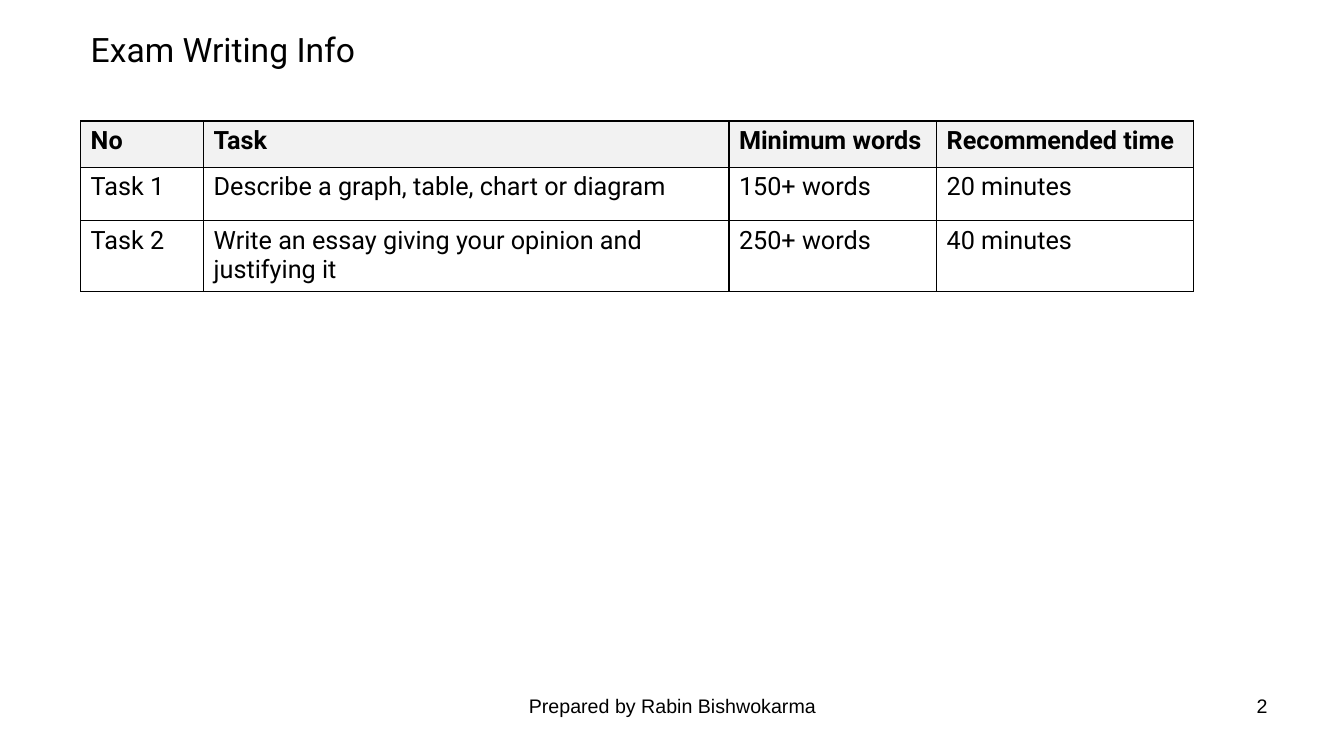
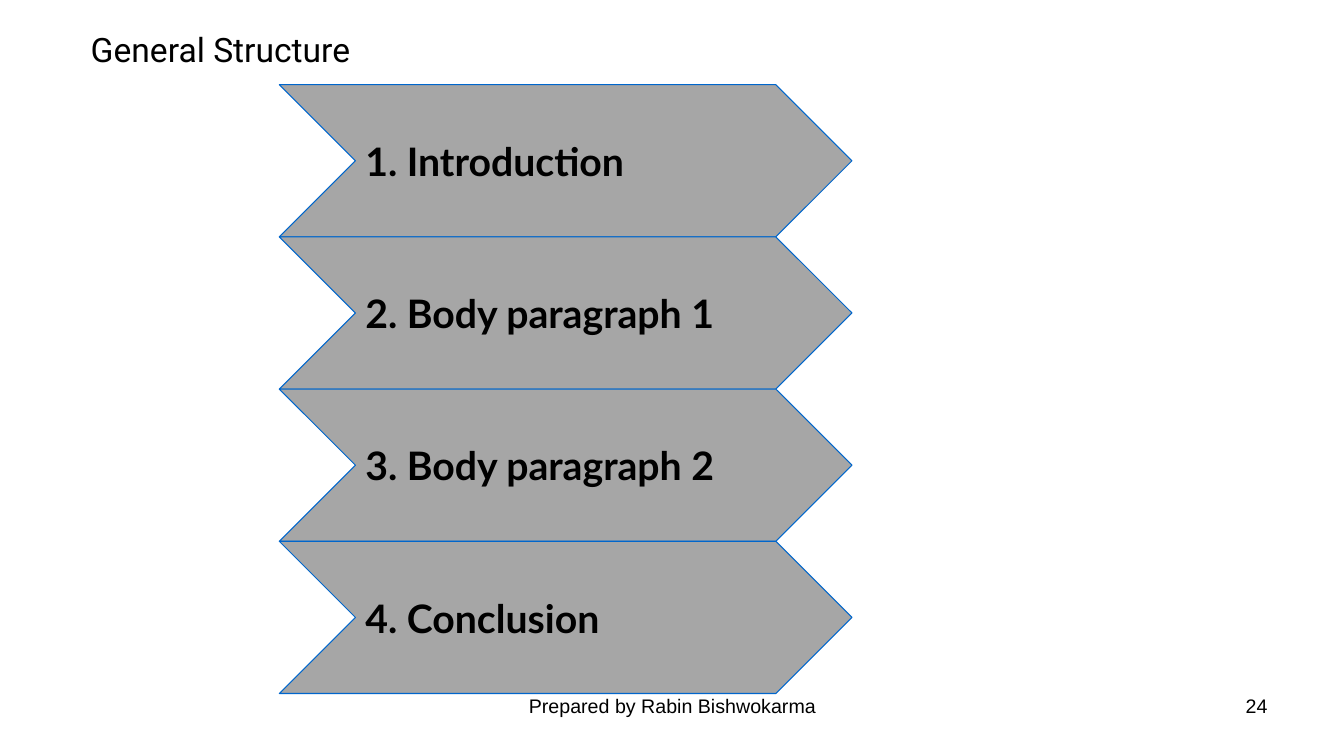
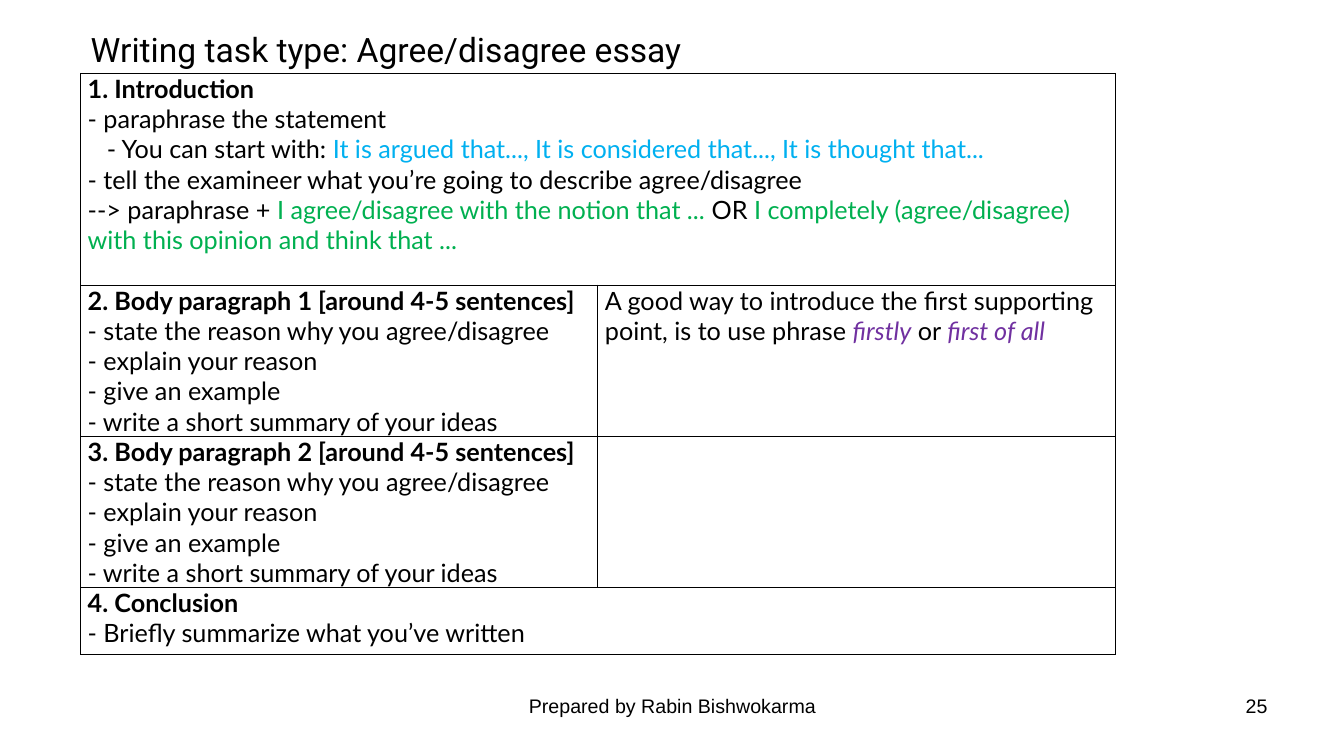
from dataclasses import dataclass

from lxml import etree
from pptx import Presentation
from pptx.dml.color import RGBColor
from pptx.enum.shapes import MSO_SHAPE
from pptx.enum.text import MSO_ANCHOR, MSO_AUTO_SIZE, PP_ALIGN
from pptx.oxml.ns import qn
from pptx.util import Inches, Pt

CHEVRON = MSO_SHAPE.CHEVRON
TOP, MIDDLE = MSO_ANCHOR.TOP, MSO_ANCHOR.MIDDLE
LEFT, CENTER, RIGHT = PP_ALIGN.LEFT, PP_ALIGN.CENTER, PP_ALIGN.RIGHT
NO_AUTOSIZE = MSO_AUTO_SIZE.NONE

BLACK = RGBColor(0x00, 0x00, 0x00)
WHITE = RGBColor(0xFF, 0xFF, 0xFF)
HEADER_GRAY = RGBColor(0xF2, 0xF2, 0xF2)
STEP_GRAY = RGBColor(0xA6, 0xA6, 0xA6)
STEP_LINE = RGBColor(0x00, 0x66, 0xCC)
SKY = RGBColor(0x00, 0xB0, 0xF0)
GREEN = RGBColor(0x00, 0xB0, 0x50)
PURPLE = RGBColor(0x70, 0x30, 0xA0)

TITLE_FONT, BODY_FONT, FOOTER_FONT = "Roboto", "Lato", "Arial"
MARGIN_LEFT = 0.8
FOOTER = "Prepared by Rabin Bishwokarma"


@dataclass
class Run:
    text: str
    color: RGBColor = BLACK
    bold: bool = False
    italic: bool = False


@dataclass
class Para:
    runs: list
    indent: float = 0


def plain(text):
    return Para([Run(text)])


def heading(text):
    return Para([Run(text, bold=True)])


def write(frame, paras, font, size, align=LEFT):
    for index, para in enumerate(paras):
        paragraph = frame.paragraphs[0] if index == 0 else frame.add_paragraph()
        paragraph.alignment = align
        if para.indent:
            properties = paragraph._p.get_or_add_pPr()
            properties.set("marL", str(Inches(para.indent)))
            properties.set("indent", "0")
        for part in para.runs:
            run = paragraph.add_run()
            run.text = part.text
            run.font.name = font
            run.font.size = Pt(size)
            run.font.bold = part.bold
            run.font.italic = part.italic
            run.font.color.rgb = part.color


def add_footer_text(slide, text, left, width, align):
    box = slide.shapes.add_textbox(Inches(left), Inches(6.83), Inches(width), Inches(0.52))
    box.text_frame.word_wrap = True
    write(box.text_frame, [plain(text)], FOOTER_FONT, 14, align)


def add_slide(prs, title, number):
    slide = prs.slides.add_slide(prs.slide_layouts[5])
    holder = slide.shapes.title
    holder.left, holder.top = Inches(MARGIN_LEFT), Inches(0.24)
    holder.width, holder.height = Inches(10.26), Inches(0.5)
    frame = holder.text_frame
    frame.word_wrap = True
    frame.auto_size = NO_AUTOSIZE
    frame.vertical_anchor = TOP
    write(frame, [plain(title)], TITLE_FONT, 24)
    add_footer_text(slide, str(number), 9.56, 3.11, RIGHT)
    add_footer_text(slide, FOOTER, 4.56, 4.22, CENTER)
    return slide


def add_borders(cell):
    properties = cell._tc.get_or_add_tcPr()
    for side in ("a:lnL", "a:lnR", "a:lnT", "a:lnB"):
        line = etree.SubElement(properties, qn(side), w=str(Pt(1)))
        fill = etree.SubElement(line, qn("a:solidFill"))
        etree.SubElement(fill, qn("a:srgbClr"), val=str(BLACK))


def add_grid(slide, top, widths, heights):
    table = slide.shapes.add_table(
        len(heights), len(widths), Inches(MARGIN_LEFT), Inches(top),
        Inches(sum(widths)), Inches(sum(heights))).table
    table.first_row = table.horz_banding = False
    for column, width in zip(table.columns, widths):
        column.width = Inches(width)
    for row, height in zip(table.rows, heights):
        row.height = Inches(height)
    for cell in table.iter_cells():
        add_borders(cell)
        cell.fill.solid()
        cell.fill.fore_color.rgb = WHITE
    return table


def add_task_table(slide):
    tasks = [
        ("No", "Task", "Minimum words", "Recommended time"),
        ("Task 1", "Describe a graph, table, chart or diagram", "150+ words", "20 minutes"),
        ("Task 2", "Write an essay giving your opinion and justifying it",
         "250+ words", "40 minutes"),
    ]
    table = add_grid(slide, 1.2, [1.22, 5.21, 2.06, 2.55], [0.46, 0.53, 0.7])
    for row, task in enumerate(tasks):
        for column, text in enumerate(task):
            cell = table.cell(row, column)
            if row == 0:
                cell.fill.fore_color.rgb = HEADER_GRAY
            para = heading(text) if row == 0 else plain(text)
            write(cell.text_frame, [para], TITLE_FONT, 18)


def add_steps(slide, steps):
    height = 1.51
    for index, text in enumerate(steps):
        step = slide.shapes.add_shape(
            CHEVRON, Inches(2.77), Inches(0.84 + index * height), Inches(5.68), Inches(height))
        step.shadow.inherit = False
        step.fill.solid()
        step.fill.fore_color.rgb = STEP_GRAY
        step.line.color.rgb = STEP_LINE
        step.line.width = Pt(0.75)
        step.text_frame.vertical_anchor = MIDDLE
        write(step.text_frame, [heading(text)], BODY_FONT, 28)


def body_plan(number):
    return [
        heading(f"{number + 1}. Body paragraph {number} [around 4-5 sentences]"),
        plain("- state the reason why you agree/disagree"),
        plain("- explain your reason"),
        plain("- give an example"),
        plain("- write a short summary of your ideas"),
    ]


def add_essay_table(slide):
    introduction = [
        heading("1. Introduction"),
        plain("- paraphrase the statement"),
        Para([Run("- You can start with:"),
              Run(" It is argued that..., It is considered that..., It is thought that...", SKY)],
             indent=0.19),
        plain("- tell the examineer what you’re going to describe agree/disagree"),
        Para([Run("--> paraphrase + "),
              Run("I agree/disagree with the notion that ... ", GREEN),
              Run("OR "),
              Run("I completely (agree/disagree) with this opinion and think that ...", GREEN)]),
    ]
    first_point = [Para([
        Run("A good way to introduce the first supporting point, is to use phrase "),
        Run("firstly", PURPLE, italic=True),
        Run(" or "),
        Run("first of all", PURPLE, italic=True)])]
    conclusion = [heading("4. Conclusion"), plain("- Briefly summarize what you’ve written")]
    contents = {
        (0, 0): introduction,
        (1, 0): body_plan(1),
        (1, 1): first_point,
        (2, 0): body_plan(2),
        (3, 0): conclusion,
    }
    table = add_grid(slide, 0.73, [5.13, 5.13], [2.1, 1.5, 1.5, 0.66])
    for row in (0, 3):
        table.cell(row, 0).merge(table.cell(row, 1))
    for cell in table.iter_cells():
        cell.margin_left = cell.margin_right = Inches(0.07)
        cell.margin_top = cell.margin_bottom = 0
    for (row, column), paras in contents.items():
        write(table.cell(row, column).text_frame, paras, BODY_FONT, 18)


def main():
    prs = Presentation()
    prs.slide_width, prs.slide_height = Inches(13.33), Inches(7.5)
    add_task_table(add_slide(prs, "Exam Writing Info", 2))
    add_steps(add_slide(prs, "General Structure", 24),
              ["1. Introduction", "2. Body paragraph 1", "3. Body paragraph 2", "4. Conclusion"])
    add_essay_table(add_slide(prs, "Writing task type: Agree/disagree essay", 25))
    prs.save("out.pptx")


if __name__ == "__main__":
    main()
